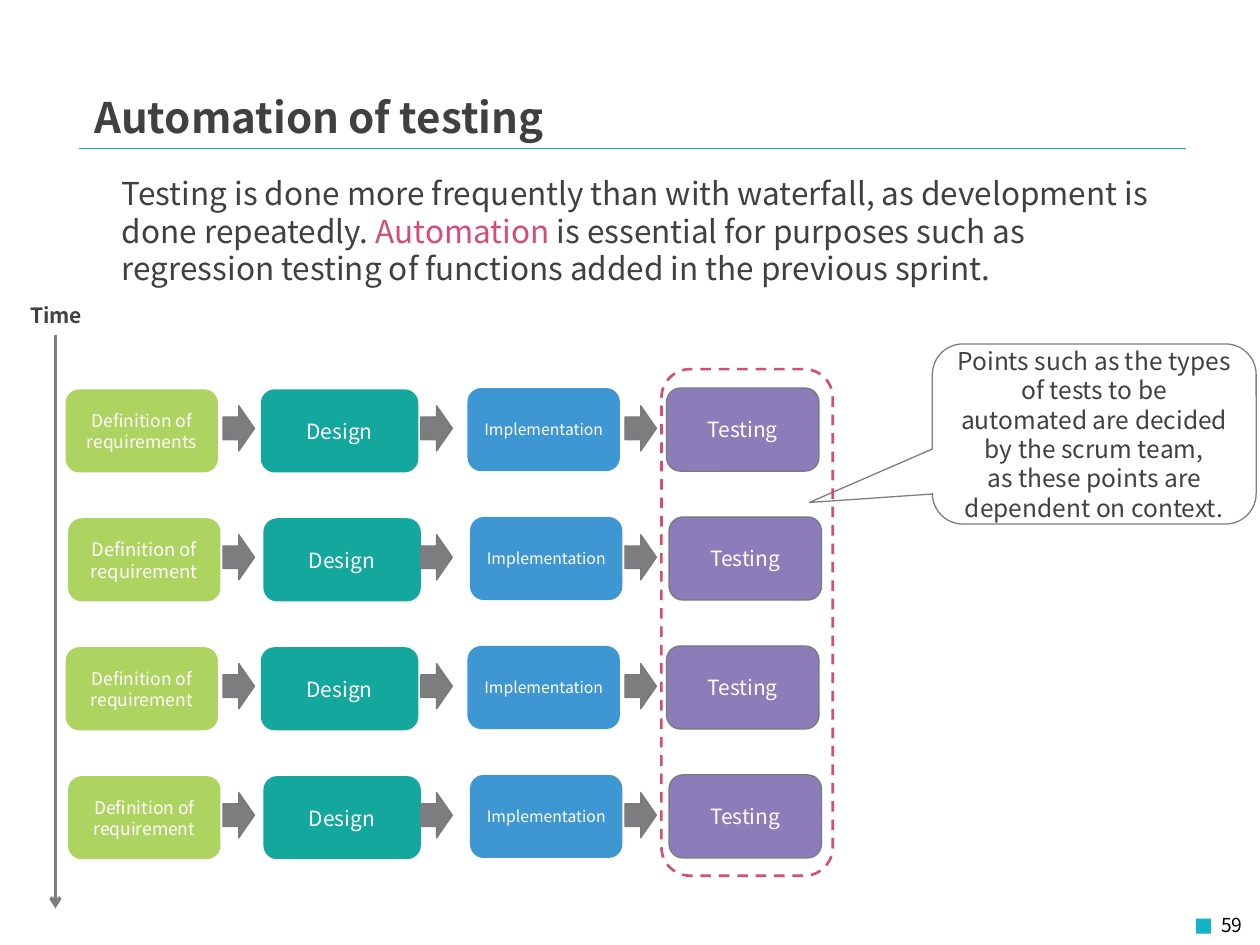
import pptx
import pptx.util
import pptx.dml.color
import pptx.enum.dml
import pptx.enum.shapes
import pptx.enum.text
import pptx.oxml
import pptx.oxml.ns

Inches = pptx.util.Inches
Pt = pptx.util.Pt
RGBColor = pptx.dml.color.RGBColor
SHAPE = pptx.enum.shapes.MSO_SHAPE
ALIGN = pptx.enum.text.PP_ALIGN
ANCHOR = pptx.enum.text.MSO_ANCHOR

WHITE = RGBColor(0xFF, 0xFF, 0xFF)
BLACK = RGBColor(0x00, 0x00, 0x00)
TEXT = RGBColor(0x40, 0x40, 0x40)
CYAN = RGBColor(0x12, 0xB3, 0xC7)
PINK = RGBColor(0xD7, 0x4C, 0x77)
GREEN = RGBColor(0xAD, 0xD3, 0x61)
TEAL = RGBColor(0x14, 0xA7, 0x9D)
BLUE = RGBColor(0x3E, 0x96, 0xD2)
PURPLE = RGBColor(0x8B, 0x7C, 0xBA)
GRAY = RGBColor(0x7D, 0x7D, 0x7F)
OUTLINE = RGBColor(0x7A, 0x7A, 0x7C)

JP_FONT = "Noto Sans CJK JP"
KR_FONT = "Noto Sans CJK KR"

ROWS = 4
ROW_TOP = 3.09
ROW_PITCH = 3.07 / 3
ROW_SHIFT = 0.02
BOX_HEIGHT = 0.66
ARROW_LEFTS = (1.77, 3.34, 4.96)


class SlideBuilder:
    def __init__(self, slide):
        self.s = slide

    def fill_text(self, sp, paragraphs, size, color, font, align, bold=False):
        tf = sp.text_frame
        tf.word_wrap = True
        tf.text = "\n".join(paragraphs)
        for p in tf.paragraphs:
            p.alignment = align
            for r in p.runs:
                self.style(r, size, color, font, bold)
        return tf

    def style(self, r, size, color, font, bold=False):
        r.font.size = Pt(size)
        r.font.name = font
        r.font.bold = bold
        r.font.color.rgb = color
        ea = pptx.oxml.parse_xml(
            f'<a:ea {pptx.oxml.ns.nsdecls("a")} typeface="{font}"/>')
        r.font._element.find(pptx.oxml.ns.qn("a:latin")).addnext(ea)

    def text(self, box, text, size, color=TEXT, font=JP_FONT,
             align=ALIGN.LEFT, bold=False):
        sp = self.s.shapes.add_textbox(*map(Inches, box))
        return self.fill_text(sp, [text], size, color, font, align, bold)

    def shape(self, kind, box, fill=None, line=None, width=0.75):
        sp = self.s.shapes.add_shape(kind, *map(Inches, box))
        sp.shadow.inherit = False
        if fill is None:
            sp.fill.background()
        else:
            sp.fill.solid()
            sp.fill.fore_color.rgb = fill
        if line is None:
            sp.line.fill.background()
        else:
            sp.line.color.rgb = line
            sp.line.width = Pt(width)
        return sp

    def label(self, sp, paragraphs, size, color=WHITE):
        tf = self.fill_text(sp, paragraphs, size, color, KR_FONT, ALIGN.CENTER)
        tf.vertical_anchor = ANCHOR.MIDDLE
        return tf

    def step(self, box, paragraphs, size, fill, line=None):
        sp = self.shape(SHAPE.ROUNDED_RECTANGLE, box, fill, line)
        tf = self.label(sp, paragraphs, size)
        tf.margin_left = tf.margin_right = 0

    def line(self, start, end, color, width, arrow=False):
        cx = self.s.shapes.add_connector(
            pptx.enum.shapes.MSO_CONNECTOR.STRAIGHT,
            *map(Inches, start + end))
        cx.line.color.rgb = color
        cx.line.width = Pt(width)
        ns = pptx.oxml.ns.nsdecls("a")
        if arrow:
            cx.line._get_or_add_ln().append(
                pptx.oxml.parse_xml(f'<a:tailEnd {ns} type="arrow"/>'))
        cx._element.spPr.append(pptx.oxml.parse_xml(f"<a:effectLst {ns}/>"))


def add_header(b):
    b.line((0.63, 1.18), (9.41, 1.18), CYAN, 0.25)
    b.shape(SHAPE.RECTANGLE, (9.49, 7.29, 0.12, 0.12), CYAN)
    b.text((8.57, 7.2, 1.39, 0.3), "59", 11, BLACK, align=ALIGN.RIGHT)
    b.text((0.65, 0.68, 6.38, 0.39), "Automation of testing", 24, bold=True)
    tf = b.text((0.87, 1.33, 8.46, 1.31),
                "Testing is done more frequently than with waterfall, "
                "as development is done repeatedly. ", 18)
    for text, color in (
            ("Automation", PINK),
            (" is essential for purposes such as regression testing of "
             "functions added in the previous sprint.", TEXT)):
        r = tf.paragraphs[0].add_run()
        r.text = text
        b.style(r, 18, color, JP_FONT)


def add_callout(b):
    sp = b.shape(SHAPE.ROUNDED_RECTANGULAR_CALLOUT,
                 (7.4, 2.73, 2.57, 1.43), line=GRAY)
    for i, value in enumerate((-0.88, 0.38, 0.17)):
        sp.adjustments[i] = value
    b.label(sp, ["Points such as the types of tests to be",
                 "automated are decided by the scrum team,",
                 "as these points are dependent on context."], 14, TEXT)


def add_sprints(b):
    for row in range(ROWS):
        top = ROW_TOP + row * ROW_PITCH
        shift = ROW_SHIFT * (row % 2)
        need = "requirements" if row == 0 else "requirement"
        need_size = 10.5 if row == 1 else 10
        steps = (
            (0.52, 0, 1.21, ["Definition of", need], need_size, GREEN, None),
            (2.07, 0, 1.25, ["Design"], 12, TEAL, None),
            (3.71, -0.01, 1.21, ["Implementation"], 9, BLUE, None),
            (5.29, -0.01, 1.21, ["Testing"], 12, PURPLE, OUTLINE),
        )
        for left, rise, width, words, size, fill, line in steps:
            b.step((left + shift, top + rise, width, BOX_HEIGHT),
                   words, size, fill, line)
        for left in ARROW_LEFTS:
            b.shape(SHAPE.RIGHT_ARROW, (left, top + 0.13, 0.25, 0.36),
                    GRAY, OUTLINE)
    frame = b.shape(SHAPE.ROUNDED_RECTANGLE, (5.25, 2.93, 1.36, 4.02),
                    line=PINK, width=1.5)
    frame.line.dash_style = pptx.enum.dml.MSO_LINE.DASH


def add_time_axis(b):
    b.line((0.44, 2.66), (0.44, 7.21), GRAY, 2, arrow=True)
    b.text((-0.35, 2.35, 1.59, 0.3), "Time", 12, font=KR_FONT,
           align=ALIGN.CENTER, bold=True)


def main():
    prs = pptx.Presentation()
    prs.slide_width = Inches(10)
    prs.slide_height = Inches(7.5)
    b = SlideBuilder(prs.slides.add_slide(prs.slide_layouts[6]))
    add_header(b)
    add_callout(b)
    add_sprints(b)
    add_time_axis(b)
    prs.save("out.pptx")


if __name__ == "__main__":
    main()
